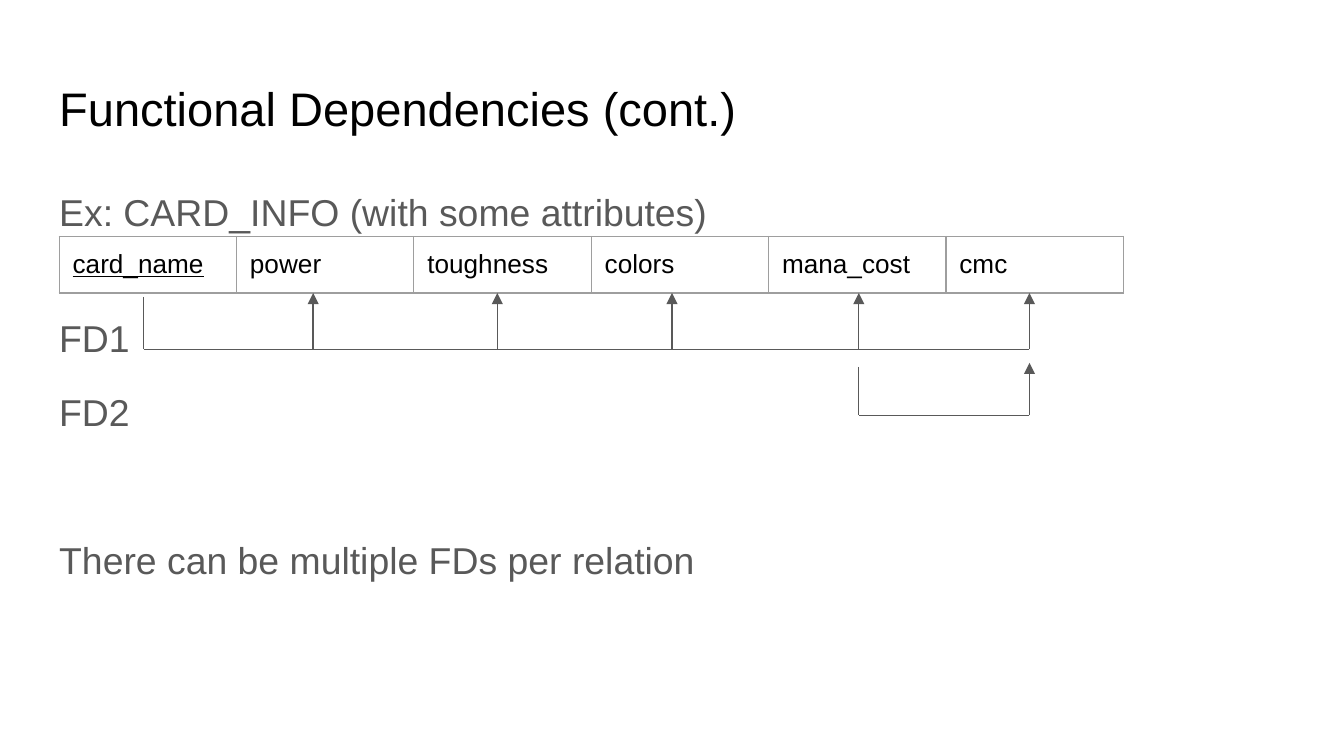
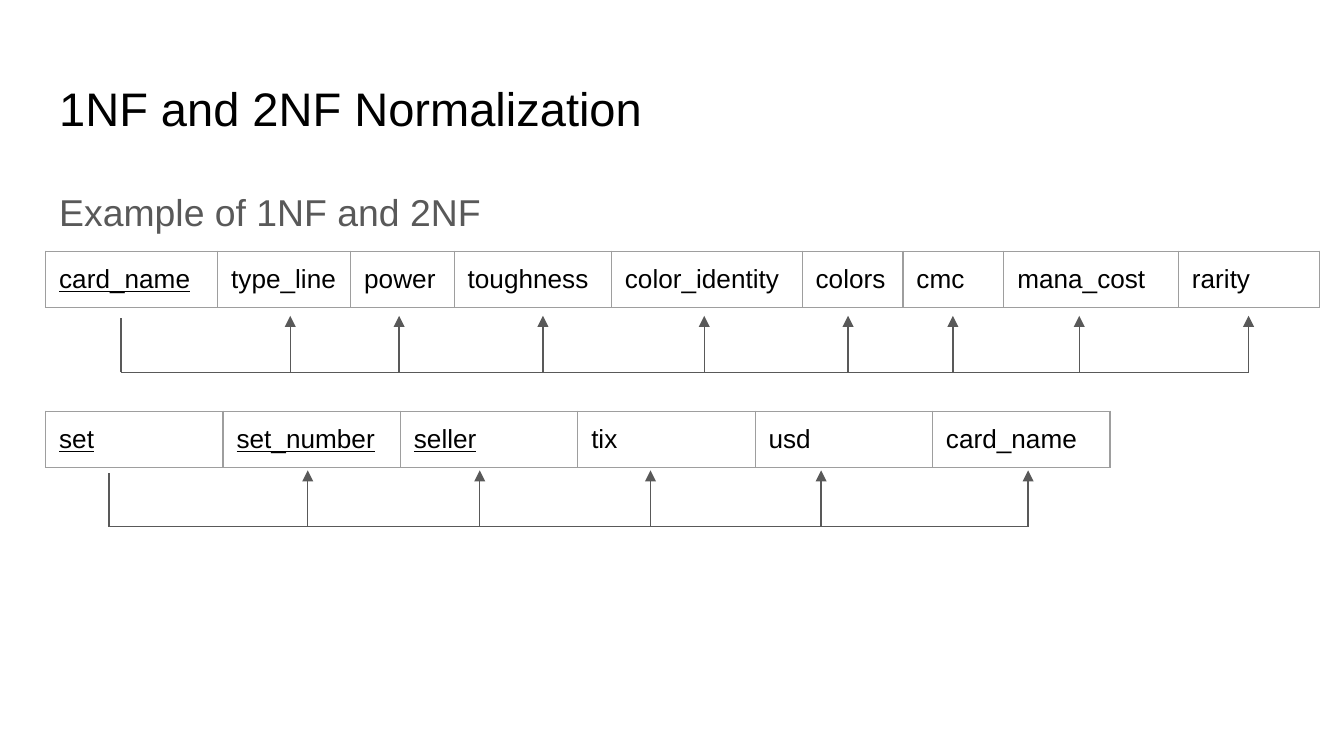
"""Build two slides on functional dependencies and normalization."""
from lxml import etree
from pptx import Presentation
from pptx import util as u
from pptx.dml.color import RGBColor
from pptx.enum import shapes, text
from pptx.oxml import parse_xml
from pptx.oxml.ns import nsdecls, qn

FONT = "Arial"
BLACK, GRAY, BORDER = "000000", "595959", "9E9E9E"
MARGIN = u.Inches(0.1)


def add_run(p, content, size, color):
    r = p.add_run()
    r.text = content
    r.font.name = FONT
    r.font.size = u.Pt(size)
    r.font.color.rgb = RGBColor.from_string(color)
    return r


def add_line(s, x1, y1, x2, y2, arrow=False):
    c = s.shapes.add_connector(shapes.MSO_CONNECTOR.STRAIGHT,
                               *[u.Inches(v) for v in (x1, y1, x2, y2)])
    c.line.width = u.Pt(0.75)
    c.line.color.rgb = RGBColor.from_string(GRAY)
    if arrow:
        ln = c._element.spPr.find(qn("a:ln"))
        etree.SubElement(ln, qn("a:tailEnd"), type="triangle")
    etree.SubElement(c._element.spPr, qn("a:effectLst"))


slides = [
    {
        "title": "Functional Dependencies (cont.)",
        "body_height": 3.74,
        "body": [("Ex: CARD_INFO (with some attributes)", 0), ("FD1", 39.6), ("FD2", 12),
                 ("There can be multiple FDs per relation", 51.6)],
        "relations": [
            {"left": 0.44, "top": 1.76, "widths": [1.32] * 6, "keys": 1,
             "names": ["card_name", "power", "toughness", "colors", "mana_cost", "cmc"]},
        ],
        "dependencies": [
            {"source": 1.07, "stem": 2.21, "bar": 2.6, "tip": 2.18,
             "targets": [2.33, 3.7, 5, 6.39, 7.66]},
            {"source": 6.39, "stem": 2.73, "bar": 3.09, "tip": 2.7, "targets": [7.66]},
        ],
    },
    {
        "title": "1NF and 2NF Normalization",
        "body_height": 0.5,
        "body": [("Example of 1NF and 2NF", 0)],
        "relations": [
            {"left": 0.34, "top": 1.87, "keys": 1,
             "widths": [1.28, 0.99, 0.77, 1.17, 1.42, 0.75, 0.75, 1.3, 1.05],
             "names": ["card_name", "type_line", "power", "toughness", "color_identity",
                       "colors", "cmc", "mana_cost", "rarity"]},
            {"left": 0.34, "top": 3.06, "widths": [1.32] * 6, "keys": 3,
             "names": ["set", "set_number", "seller", "tix", "usd", "card_name"]},
        ],
        "dependencies": [
            {"source": 0.9, "stem": 2.37, "bar": 2.77, "tip": 2.35,
             "targets": [2.16, 2.97, 4.04, 5.24, 6.31, 7.09, 8.03, 9.29]},
            {"source": 0.81, "stem": 3.52, "bar": 3.92, "tip": 3.5,
             "targets": [2.29, 3.57, 4.84, 6.11, 7.65]},
        ],
    },
]

prs = Presentation()
prs.slide_width = u.Inches(10)
prs.slide_height = prs.slide_width * 9 // 16

for page in slides:
    s = prs.slides.add_slide(prs.slide_layouts[1])
    title, body = s.shapes.title, s.placeholders[1]
    for sp, top, height in ((title, 0.49, 0.63), (body, 1.26, page["body_height"])):
        sp.left, sp.top = u.Inches(0.34), u.Inches(top)
        sp.width, sp.height = u.Inches(9.32), u.Inches(height)
        tf = sp.text_frame
        tf.margin_left = tf.margin_right = tf.margin_top = tf.margin_bottom = MARGIN
        tf.vertical_anchor = text.MSO_ANCHOR.TOP
        tf.auto_size = text.MSO_AUTO_SIZE.NONE
        tf.word_wrap = True

    p = title.text_frame.paragraphs[0]
    p.alignment = text.PP_ALIGN.LEFT
    add_run(p, page["title"], 25.2, BLACK)

    tf = body.text_frame
    for i, (content, before) in enumerate(page["body"]):
        p = tf.add_paragraph() if i else tf.paragraphs[0]
        pPr = p._p.get_or_add_pPr()
        pPr.set("marL", "0")
        pPr.set("indent", "0")
        etree.SubElement(pPr, qn("a:buNone"))
        p.line_spacing = 1.15
        p.space_before = u.Pt(before)
        add_run(p, content, 20, GRAY)

    for rel in page["relations"]:
        widths, names = rel["widths"], rel["names"]
        table = s.shapes.add_table(1, len(names), u.Inches(rel["left"]), u.Inches(rel["top"]),
                                   u.Inches(sum(widths)), u.Inches(0.42)).table
        table.first_row = table.horz_banding = False
        for i, (width, name) in enumerate(zip(widths, names)):
            table.columns[i].width = u.Inches(width)
            cell = table.cell(0, i)
            cell.fill.background()
            cell.margin_left = cell.margin_right = MARGIN
            cell.margin_top = cell.margin_bottom = MARGIN
            r = add_run(cell.text_frame.paragraphs[0], name, 14, BLACK)
            r.font.underline = i < rel["keys"]
            for n, side in enumerate("LRTB"):
                cell._tc.get_or_add_tcPr().insert(n, parse_xml(
                    f'<a:ln{side} {nsdecls("a")} w="{u.Pt(0.75)}"><a:solidFill>'
                    f'<a:srgbClr val="{BORDER}"/></a:solidFill></a:ln{side}>'))

    for dep in page["dependencies"]:
        x, bar, targets = dep["source"], dep["bar"], dep["targets"]
        add_line(s, x, dep["stem"], x, bar)
        add_line(s, x, bar, targets[-1], bar)
        for target in targets:
            add_line(s, target, bar, target, dep["tip"], arrow=True)

prs.save("out.pptx")
